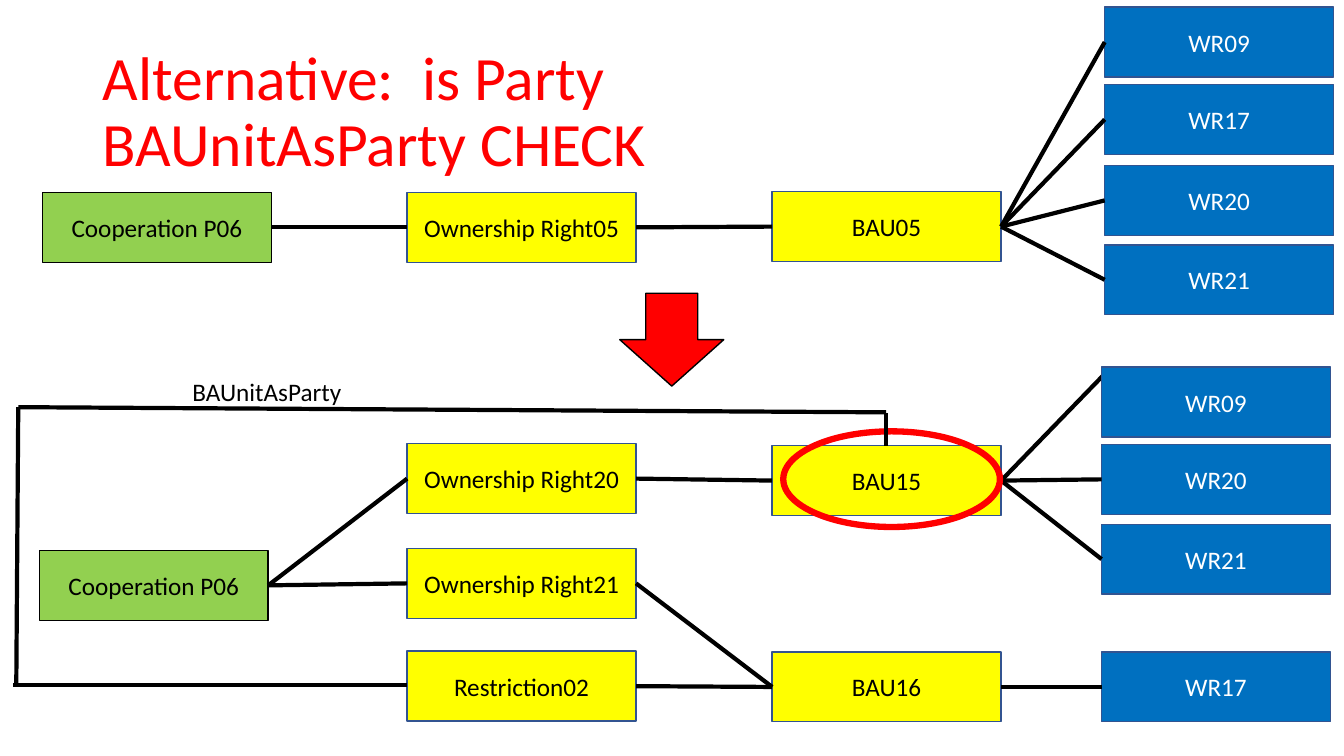
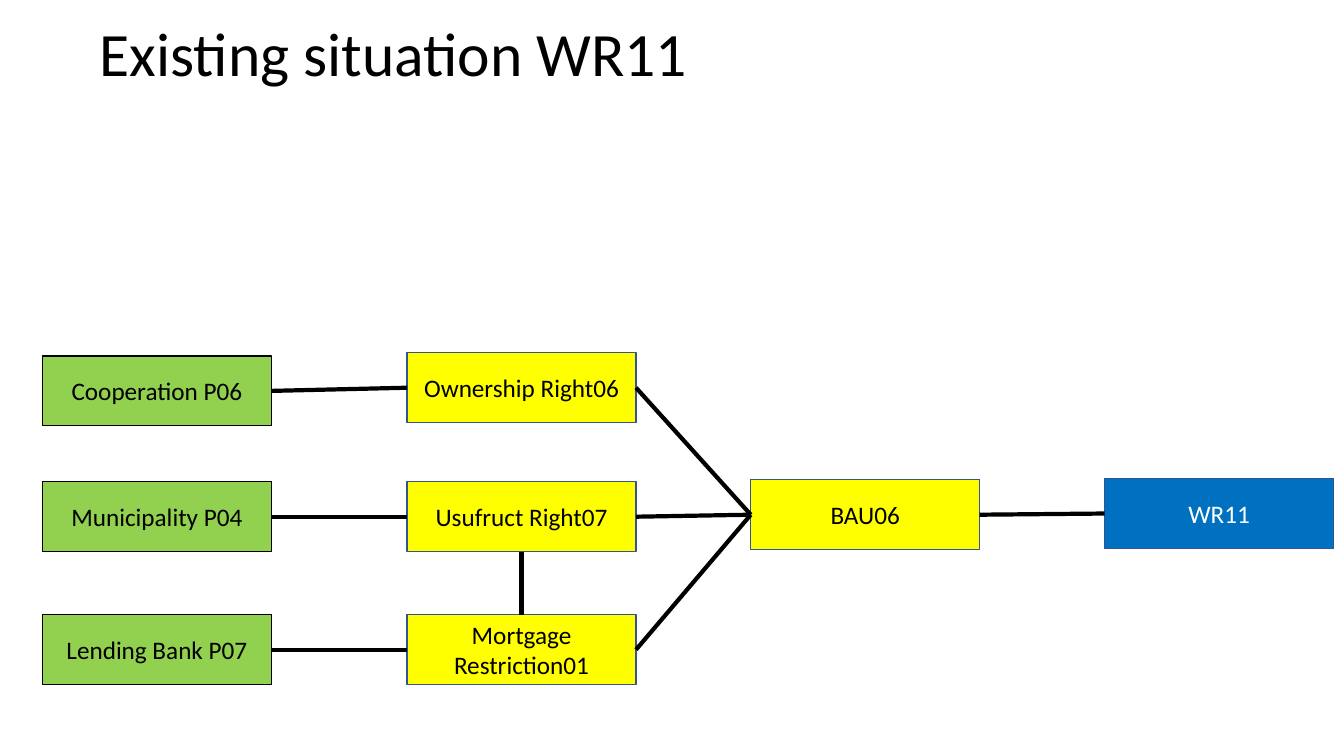
from dataclasses import dataclass

from lxml import etree
from pptx import Presentation
from pptx import util as u
from pptx.dml.color import RGBColor
from pptx.enum import shapes, text
from pptx.oxml import ns


@dataclass(frozen=True)
class Theme:
    font: str = "Calibri"
    black: str = "000000"
    white: str = "FFFFFF"
    red: str = "FF0000"
    green: str = "92D050"
    yellow: str = "FFFF00"
    blue: str = "0070C0"
    edge: str = "325491"
    title_size: float = 44
    body_size: float = 18
    thin: float = 1
    link: float = 3
    ring: float = 4.5


THEME = Theme()
# Box kinds: fill, outline, text colour
PARTY = (THEME.green, THEME.black, THEME.black)
RIGHT = (THEME.yellow, THEME.edge, THEME.black)
UNIT = RIGHT
SPATIAL = (THEME.blue, THEME.edge, THEME.white)

# Lengths in centimetres
BOX_W, BOX_H = 5.77, 1.76
PARTY_X, RIGHT_X, UNIT_X, SPATIAL_X = 1.07, 10.26, 19.46, 27.84
TOP, LEFT, BOTTOM, RIGHT_SIDE = range(4)  # connection sites of a rectangle


def write(frame, words, size=THEME.body_size, color=THEME.black,
          align=text.PP_ALIGN.LEFT, anchor=text.MSO_ANCHOR.TOP,
          wrap=True, spacing=1.0):
    """Fill a text frame with one paragraph; a newline is a line break."""
    frame.word_wrap = wrap
    frame.vertical_anchor = anchor
    para = frame.paragraphs[0]
    para.alignment = align
    para.line_spacing = spacing
    for number, line in enumerate(words.split("\n")):
        if number:
            para.add_line_break()
        span = para.add_run()
        span.text = line
        span.font.name = THEME.font
        span.font.size = u.Pt(size)
        span.font.color.rgb = RGBColor.from_string(color)


class Diagram:
    """Holds the deck and the slide being drawn."""

    def __init__(self):
        self.deck = Presentation()
        self.deck.slide_width = u.Cm(33.87)
        self.deck.slide_height = u.Cm(19.05)
        self.page = None

    def new_page(self):
        self.page = self.deck.slides.add_slide(self.deck.slide_layouts[6])

    def label(self, words, left, top, width, height, **style):
        box = self.page.shapes.add_textbox(
            u.Cm(left), u.Cm(top), u.Cm(width), u.Cm(height))
        write(box.text_frame, words, **style)

    def title(self, words, left, top, **style):
        self.label(words, left, top, 29.21, 3.68,
                   size=THEME.title_size, spacing=0.9, **style)

    def shape(self, preset, left, top, width, height, fill, line, weight):
        shape = self.page.shapes.add_shape(
            preset, u.Cm(left), u.Cm(top), u.Cm(width), u.Cm(height))
        shape.shadow.inherit = False
        if fill:
            shape.fill.solid()
            shape.fill.fore_color.rgb = RGBColor.from_string(fill)
        else:
            shape.fill.background()
        shape.line.color.rgb = RGBColor.from_string(line)
        shape.line.width = u.Pt(weight)
        return shape

    def box(self, words, kind, left, top):
        fill, line, color = kind
        box = self.shape(shapes.MSO_SHAPE.RECTANGLE, left, top, BOX_W, BOX_H,
                         fill, line, THEME.thin)
        write(box.text_frame, words, color=color,
              align=text.PP_ALIGN.CENTER, anchor=text.MSO_ANCHOR.MIDDLE)
        return box

    def column(self, kind, left, rows):
        return [self.box(words, kind, left, top) for words, top in rows]

    def line(self, x1, y1, x2, y2):
        line = self.page.shapes.add_connector(
            shapes.MSO_CONNECTOR.STRAIGHT,
            u.Cm(x1), u.Cm(y1), u.Cm(x2), u.Cm(y2))
        line.line.color.rgb = RGBColor.from_string(THEME.black)
        line.line.width = u.Pt(THEME.link)
        etree.SubElement(line._element.spPr, ns.qn("a:effectLst"))
        return line

    def join(self, start, end, start_site=RIGHT_SIDE, end_site=LEFT):
        line = self.line(0, 0, 1, 1)
        line.begin_connect(start, start_site)
        line.end_connect(end, end_site)


def alternative(diagram):
    diagram.new_page()

    # Situation before
    party = diagram.box("Cooperation P06", PARTY, PARTY_X, 4.85)
    right = diagram.box("Ownership Right05", RIGHT, RIGHT_X, 4.85)
    unit = diagram.box("BAU05", UNIT, UNIT_X, 4.83)
    spatial = diagram.column(SPATIAL, SPATIAL_X, [
        ("WR09", 0.18), ("WR17", 2.13), ("WR20", 4.17), ("WR21", 6.17)])
    diagram.join(party, right)
    diagram.join(right, unit)
    for room in spatial:
        diagram.join(unit, room)

    # Situation after
    party = diagram.box("Cooperation P06", PARTY, 0.99, 13.87)
    right20, right21, restriction = diagram.column(RIGHT, RIGHT_X, [
        ("Ownership Right20", 11.18), ("Ownership Right21", 13.82),
        ("Restriction02", 16.41)])
    unit15, unit16 = diagram.column(UNIT, UNIT_X, [
        ("BAU15", 11.23), ("BAU16", 16.43)])
    diagram.line(27.84, 9.42, 25.23, 12.11)
    _, wr20, wr21, wr17 = diagram.column(SPATIAL, 27.76, [
        ("WR09", 9.25), ("WR20", 11.2), ("WR21", 13.21), ("WR17", 16.43)])
    for start, end in [(party, right20), (party, right21), (right20, unit15),
                       (right21, unit16), (restriction, unit16),
                       (unit15, wr20), (unit15, wr21), (unit16, wr17)]:
        diagram.join(start, end)

    # Arrow, title and highlight
    diagram.shape(shapes.MSO_SHAPE.DOWN_ARROW, 15.62, 7.39, 2.62, 2.34,
                  THEME.red, THEME.black, THEME.thin)
    diagram.title("Alternative:  is Party\nBAUnitAsParty CHECK", 2.34, 1.02,
                  color=THEME.red, anchor=text.MSO_ANCHOR.MIDDLE)
    diagram.shape(shapes.MSO_SHAPE.OVAL, 19.74, 10.87, 5.46, 2.41,
                  None, THEME.red, THEME.ring)

    # Loop from the restriction back to BAU15
    for ends in [(0.33, 17.27, 10.26, 17.27), (0.41, 17.3, 0.46, 10.26),
                 (22.33, 10.39, 0.46, 10.26), (22.33, 11.23, 22.33, 10.41)]:
        diagram.line(*ends)
    diagram.label("BAUnitAsParty", 4.6, 9.37, 4.29, 1.02, wrap=False)


def existing(diagram):
    diagram.new_page()
    diagram.title("Existing situation WR11", 2.26, 0.46)

    # Boxes by column
    parties = diagram.column(PARTY, PARTY_X, [
        ("Cooperation P06", 8.97), ("Municipality P04", 12.14),
        ("Lending Bank P07", 15.49)])
    rights = diagram.column(RIGHT, RIGHT_X, [
        ("Ownership Right06", 8.89), ("Usufruct Right07", 12.14),
        ("Mortgage Restriction01", 15.49)])
    unit = diagram.box("BAU06", UNIT, 18.92, 12.09)
    spatial = diagram.box("WR11", SPATIAL, SPATIAL_X, 12.06)

    # Links
    for party, right in zip(parties, rights):
        diagram.join(party, right)
        diagram.join(right, unit)
    diagram.join(unit, spatial)
    diagram.join(rights[1], rights[2], BOTTOM, TOP)


def main():
    diagram = Diagram()
    alternative(diagram)
    existing(diagram)
    diagram.deck.save("out.pptx")


if __name__ == "__main__":
    main()
